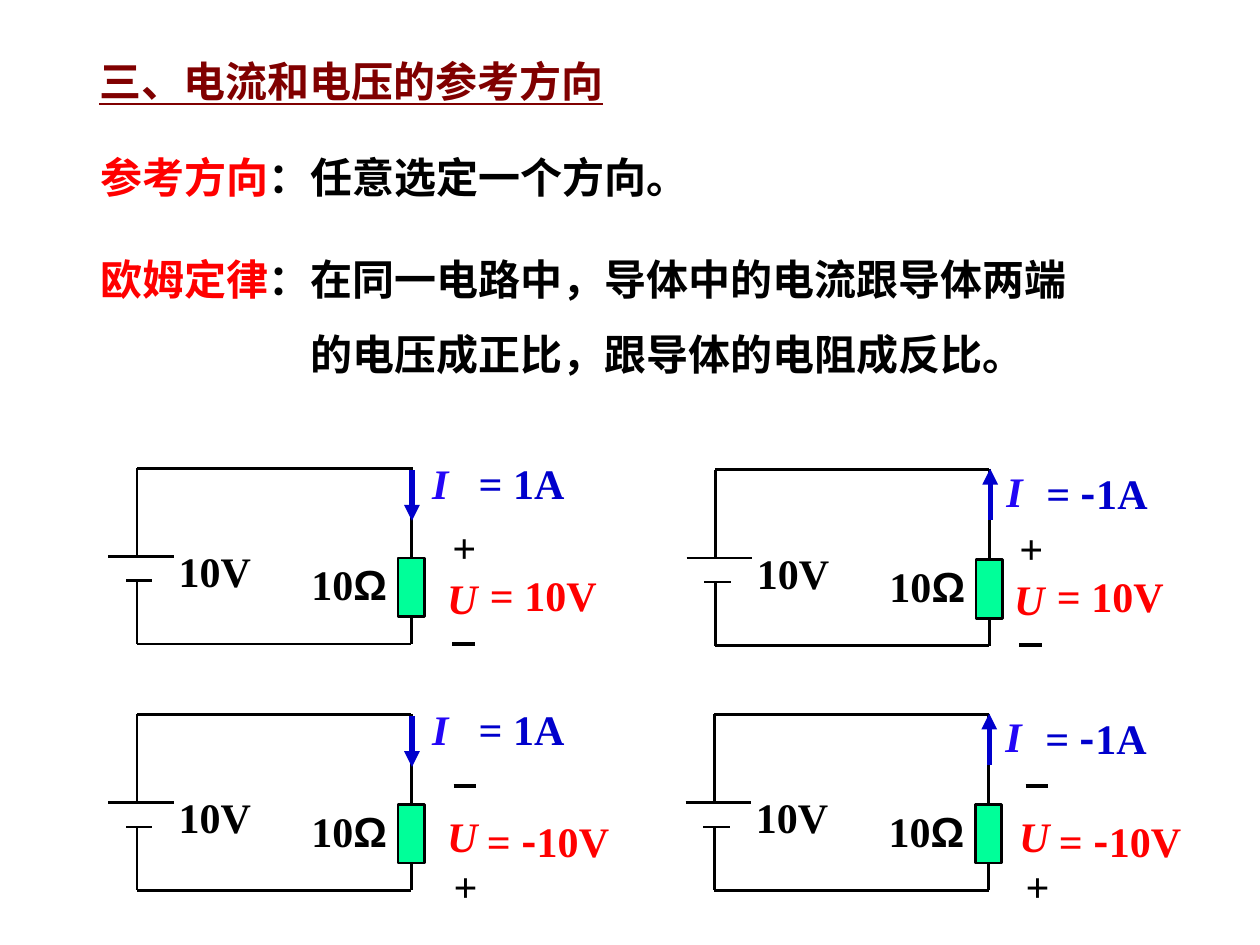
from lxml import etree
from pptx import Presentation
from pptx.dml.color import RGBColor as RGB
from pptx.enum.shapes import MSO_CONNECTOR as Conn, MSO_SHAPE as Shape
from pptx.enum.text import MSO_ANCHOR as Anchor, MSO_AUTO_SIZE as Fit, PP_ALIGN as Align
from pptx.oxml.ns import qn
from pptx.util import Pt

BLACK = RGB(0x00, 0x00, 0x00)
RED = RGB(0xFF, 0x00, 0x00)
MAROON = RGB(0x80, 0x00, 0x00)
BLUE = RGB(0x00, 0x00, 0xCC)
VIOLET = RGB(0x23, 0x06, 0xF6)
GREEN = RGB(0x00, 0xFF, 0x99)

ROMAN, SANS, HAN = "Times New Roman", "Arial", "Noto Sans CJK SC"
BASE = {"size": Pt(24), "bold": True, "name": ROMAN}

# Wires of one circuit, from the top left corner: x1, y1, x2, y2
RIGHT, BASE_Y, PLUS_Y, MINUS_Y = 156.6, 100.5, 50.4, 64.2
WIRES = [
    (RIGHT, BASE_Y, RIGHT, -0.5),
    (-6.3, MINUS_Y, 8.7, MINUS_Y),
    (-16.5, PLUS_Y, 20.9, PLUS_Y),
    (0, 19.7, 0, PLUS_Y),
    (0, MINUS_Y, 0, 91),
    (0, 34.5, 0, 0),
    (0, 0, RIGHT, 0),
    (0, 79.5, 0, BASE_Y),
    (0, BASE_Y, RIGHT, BASE_Y),
]

# Current: arrow ends, symbol and value places, box widths, value
DOWN = {"arrow": (1, 30), "sym": (161.4, -9.7, 32.4),
        "val": (188, -10, 66.2), "text": ["= 1A"]}
UP = {"arrow": (29, -0.5), "sym": (159.2, -6, 28.8),
      "val": (182, -5, 79.9), "text": ["= ", ("-", HAN), "1A"]}

# Voltage: heights of the marks, place of the value, value
POS = {"plus": (2.9, 26.8), "bar": (10.1, 100.3), "sym": 56,
       "val": (24.5, 54.2, 81.4), "text": ["= 10V"]}
NEG = {"plus": (3.6, 79.9), "bar": (10.8, 41), "sym": 51.1,
       "val": (22.7, 53.9, 90.7), "text": ["= ", ("-", HAN), "10V"]}

# Circuits: corner, current, voltage, left of the voltage marks
CASES = [
    (78.4, 267.6, DOWN, POS, 170),
    (408.8, 268.4, UP, POS, 163.6),
    (78.4, 408.3, DOWN, NEG, 170),
    (408.3, 408.3, UP, NEG, 167),
]


def write(to, x, y, wide, runs, color=BLACK, high=36, align=None, **look):
    """Add a text box; a run is a string or (string, font name or dict)."""
    box = to.add_textbox(Pt(x), Pt(y), Pt(wide), Pt(high))
    frame = box.text_frame
    frame.word_wrap = True
    frame.auto_size = Fit.SHAPE_TO_FIT_TEXT
    frame.vertical_anchor = Anchor.MIDDLE
    para = frame.paragraphs[0]
    para.alignment = align
    for item in runs:
        text, own = item if isinstance(item, tuple) else (item, {})
        if isinstance(own, str):
            own = {"name": own}
        form = {**BASE, "rgb": color, **look, **own}
        run = para.add_run()
        run.text = text
        run.font.color.rgb = form.pop("rgb")
        for key, val in form.items():
            setattr(run.font, key, val)
        # East Asian font follows the Latin one
        latin = run.font._element.find(qn("a:latin"))
        asian = etree.Element(qn("a:ea"), typeface=HAN)
        latin.addnext(asian)
    return para


def draw(to, x1, y1, x2, y2, color=BLACK, wide=1.5, head=False):
    """Add a straight line, with an arrowhead at its end if asked."""
    line = to.add_connector(Conn.STRAIGHT, Pt(x1), Pt(y1), Pt(x2), Pt(y2))
    line.line.color.rgb = color
    line.line.width = Pt(wide)
    if head:
        etree.SubElement(line.line._get_or_add_ln(), qn("a:tailEnd"), type="triangle")
    etree.SubElement(line._element.spPr, qn("a:effectLst"))


def loop(to, x, y):
    """Battery, wires and resistor."""
    part = to.add_group_shape().shapes
    for x1, y1, x2, y2 in WIRES:
        draw(part, x + x1, y + y1, x + x2, y + y2)
    load = part.add_shape(Shape.RECTANGLE, Pt(x + 149), Pt(y + 51.3), Pt(15.1), Pt(33.6))
    load.shadow.inherit = False
    load.fill.solid()
    load.fill.fore_color.rgb = GREEN
    load.line.color.rgb = BLACK
    load.line.width = Pt(1.5)
    write(part, x + 16.6, y + 40.6, 62.6, ["10V"])
    write(part, x + 92.4, y + 48.2, 68.4, ["10", ("Ω", SANS)])


def flow(to, x, y, kind):
    """Current arrow, symbol and value."""
    start, end = kind["arrow"]
    draw(to, x + 157, y + start, x + 157, y + end, BLUE, 3, True)
    left, top, wide = kind["sym"]
    write(to, x + left, y + top, wide, ["I"], VIOLET, italic=True)
    left, top, wide = kind["val"]
    write(to, x + left, y + top, wide, kind["text"], BLUE)


def volts(to, x, y, kind):
    """Plus and minus marks, voltage symbol and value."""
    part = to.add_group_shape().shapes
    left, top = kind["plus"]
    write(part, x + left, y + top, 28.1, ["+"], align=Align.CENTER)
    left, top = kind["bar"]
    draw(part, x + left, y + top, x + left + 13, y + top, wide=2.25)
    write(part, x, y + kind["sym"], 39.6, ["U"], RED, italic=True)
    left, top, wide = kind["val"]
    write(to, x + left, y + top, wide, kind["text"], RED)


def main():
    deck = Presentation()
    deck.slide_width, deck.slide_height = Pt(720), Pt(540)
    page = deck.slides.add_slide(deck.slide_layouts[6]).shapes

    # Heading and definitions
    write(page, 49.7, 28.1, 337.7, ["三、电流和电压的参考方向"], MAROON, underline=True)
    term = {"rgb": RED}
    write(page, 50.4, 82.8, 380.2, [("参考方向", term), "：任意选定一个方向。"])
    law = write(page, 50.4, 126.7, 583.9, [
        ("欧姆定律", term),
        "：在同一电路中，导体中的电流跟导体两端的电压成正比，跟导体的电阻成反比。",
    ], high=93.6)
    law.line_spacing = 1.5
    hang = law._p.get_or_add_pPr()
    hang.set("marL", str(Pt(120.2)))
    hang.set("indent", str(-Pt(120.2)))

    # Four circuits
    for x, y, amps, drop, left in CASES:
        loop(page, x, y)
        flow(page, x, y, amps)
        volts(page, x + left, y, drop)

    deck.save("out.pptx")


if __name__ == "__main__":
    main()
